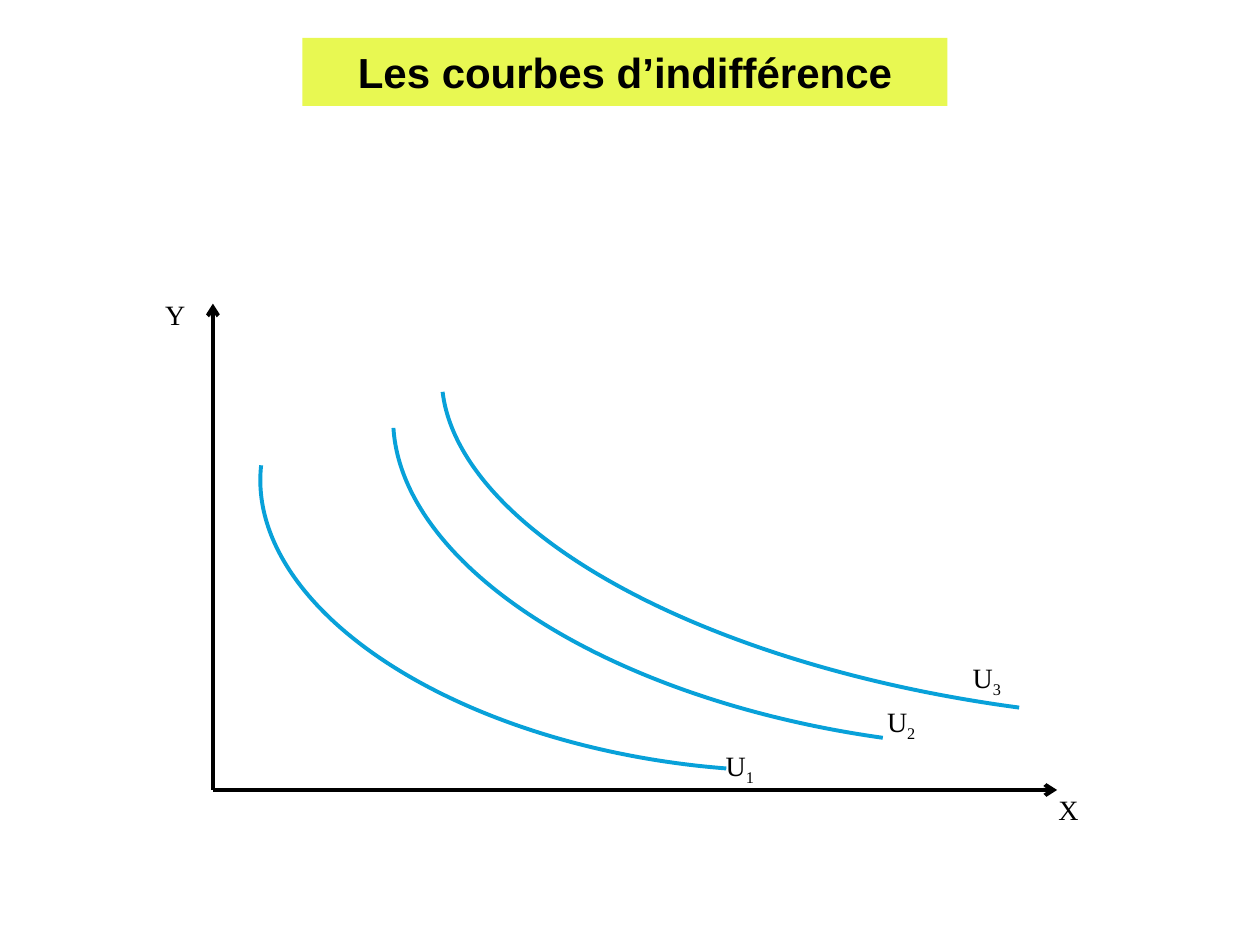
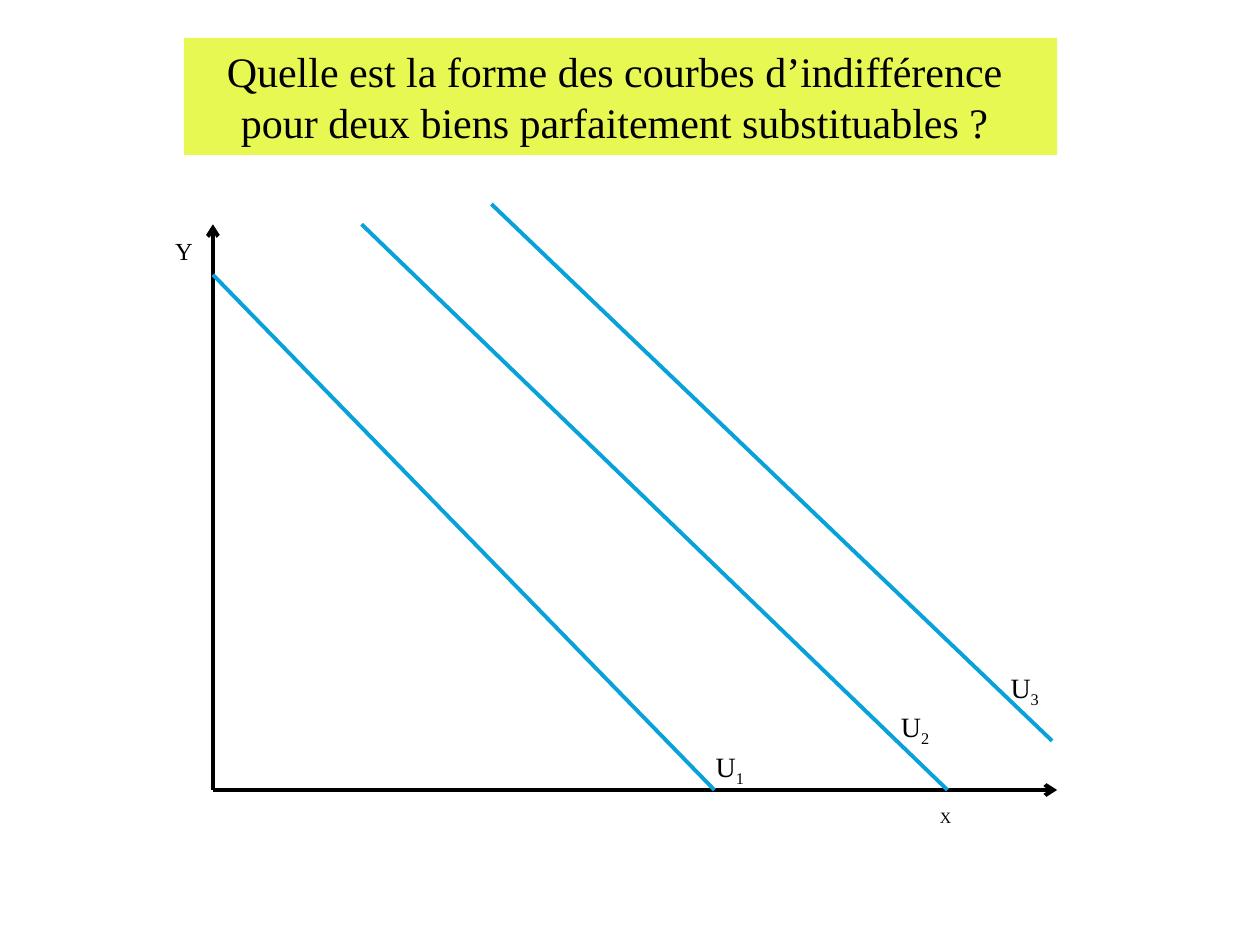
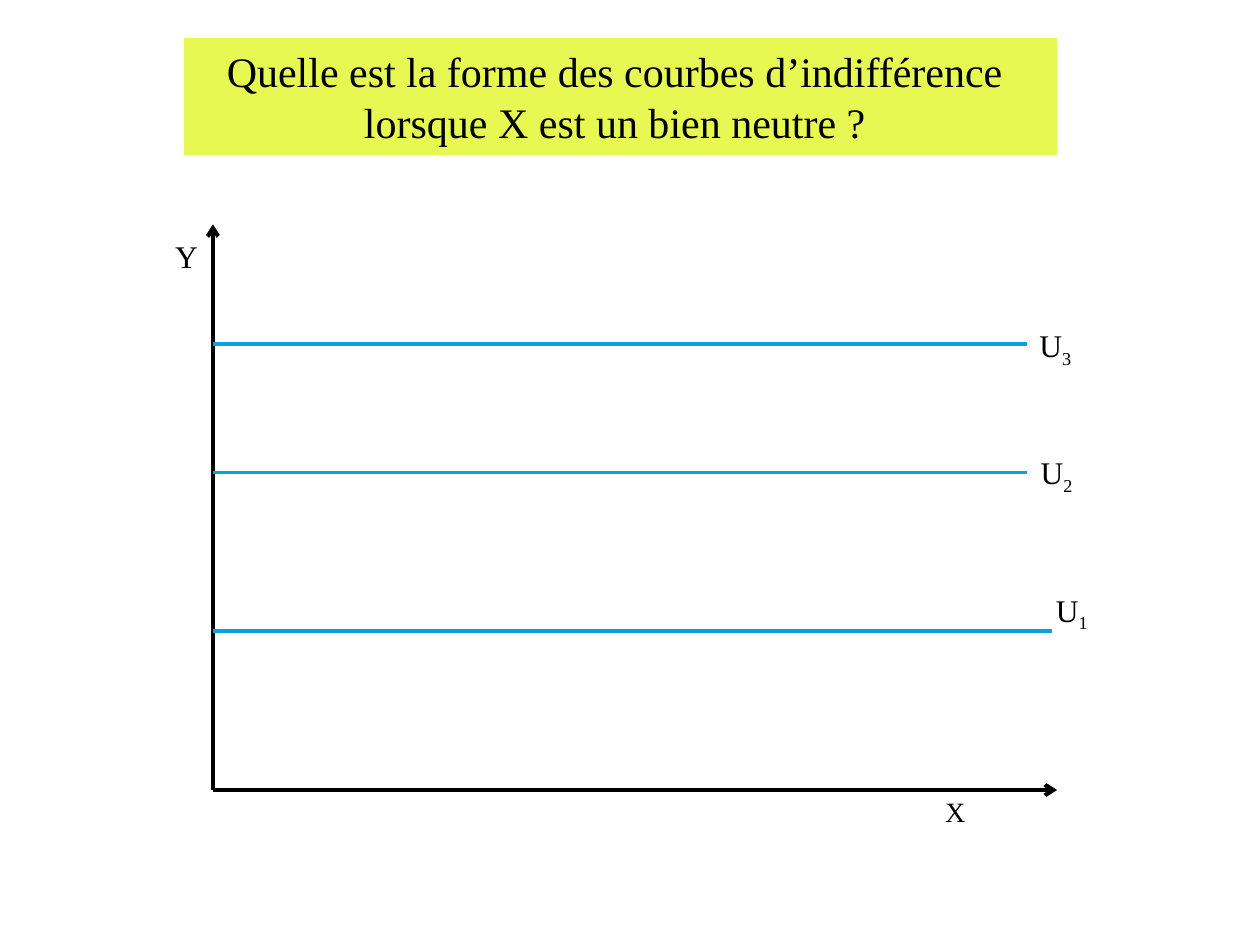
from dataclasses import dataclass

from lxml.etree import SubElement
from pptx import Presentation
from pptx.dml.color import RGBColor
from pptx.enum.shapes import MSO_CONNECTOR, MSO_SHAPE
from pptx.enum.text import MSO_ANCHOR, PP_ALIGN
from pptx.oxml.ns import qn
from pptx.util import Inches, Pt


@dataclass(frozen=True)
class Theme:
    ink: RGBColor = RGBColor(0x00, 0x00, 0x00)
    curve: RGBColor = RGBColor(0x08, 0xA1, 0xD9)
    band: RGBColor = RGBColor(0xE8, 0xF8, 0x52)
    serif: str = "Times New Roman"
    sans: str = "Arial"
    title_size: int = 24
    label_size: int = 16
    line_width: float = 2.25
    serif_ascent: float = 0.89
    subscript: int = -25000


@dataclass(frozen=True)
class Box:
    left: float
    top: float
    width: float
    height: float

    def point(self, across, up):
        return self.left + across, self.top + self.height - up


THEME = Theme()
COLUMNS, ROWS = 100, 75
CELL = Inches(10) / COLUMNS
TITLE_BOX = Box(24, 3, 51.2, 5.4)
QUESTION_BOX = Box(14.6, 3, 69.3, 9.3)
SHORT_PLOT = Box(16.9, 24.1, 67, 38.6)
TALL_PLOT = Box(16.9, 17.8, 67, 44.9)
ARC_ROTATION = 186.3
DEGREE = 0.6


def grid(*cells):
    return [round(cell * CELL) for cell in cells]


def add_run(paragraph, text, font=THEME.serif, size=THEME.label_size, bold=False, subscript=False):
    run = paragraph.add_run()
    run.text = text
    run.font.name = font
    run.font.size = Pt(size)
    run.font.bold = bold
    run.font.color.rgb = THEME.ink
    if subscript:
        run.font._element.set("baseline", str(THEME.subscript))


def add_title(slide, box, lines, font=THEME.serif, bold=False, right_inset=0.19):
    shape = slide.shapes.add_shape(
        MSO_SHAPE.RECTANGLE, *grid(box.left, box.top, box.width, box.height))
    shape.shadow.inherit = False
    shape.fill.solid()
    shape.fill.fore_color.rgb = THEME.band
    shape.line.fill.background()
    frame = shape.text_frame
    frame.word_wrap = True
    frame.vertical_anchor = MSO_ANCHOR.MIDDLE
    frame.margin_right = Inches(right_inset)
    paragraph = frame.paragraphs[0]
    paragraph.alignment = PP_ALIGN.CENTER
    for number, line in enumerate(lines):
        if number:
            paragraph.add_line_break()
        add_run(paragraph, line, font=font, size=THEME.title_size, bold=bold)


def add_line(slide, plot, start, end, color=THEME.curve, arrow=False):
    connector = slide.shapes.add_connector(
        MSO_CONNECTOR.STRAIGHT, *grid(*plot.point(*start), *plot.point(*end)))
    connector.line.color.rgb = color
    connector.line.width = Pt(THEME.line_width)
    if arrow:
        SubElement(connector.line._get_or_add_ln(), qn("a:tailEnd"), type="arrow")
    SubElement(connector._element.spPr, qn("a:effectLst"))


def add_arc(slide, plot, center, size, angles):
    across, down = plot.point(*center)
    width, height = size
    shape = slide.shapes.add_shape(
        MSO_SHAPE.ARC, *grid(across - width / 2, down - height / 2, width, height))
    shape.shadow.inherit = False
    shape.rotation = ARC_ROTATION
    for index, angle in enumerate(angles):
        shape.adjustments[index] = angle * DEGREE
    shape.fill.background()
    shape.line.color.rgb = THEME.curve
    shape.line.width = Pt(THEME.line_width)


def add_label(slide, plot, text, position, size=THEME.label_size):
    across, baseline = plot.point(*position)
    em = Pt(size) / CELL
    label = slide.shapes.add_textbox(
        *grid(across, baseline - THEME.serif_ascent * em, 2.5 * em, 1.2 * em))
    frame = label.text_frame
    frame.word_wrap = True
    frame.margin_left = frame.margin_right = frame.margin_top = frame.margin_bottom = 0
    paragraph = frame.paragraphs[0]
    add_run(paragraph, text[0], size=size)
    if text[1:]:
        add_run(paragraph, text[1:], size=size, subscript=True)


def add_plot(slide, plot, labels, lines=(), arcs=()):
    for end in ((0, plot.height), (plot.width, 0)):
        add_line(slide, plot, (0, 0), end, color=THEME.ink, arrow=True)
    for start, end in lines:
        add_line(slide, plot, start, end)
    for center, size, angles in arcs:
        add_arc(slide, plot, center, size, angles)
    for text, position, size in labels:
        add_label(slide, plot, text, position, size=size)


def build_indifference_curves(slide):
    add_plot(
        slide, SHORT_PLOT,
        arcs=[
            ((40.7, 21.7), (74.2, 39.8), (263.58, 0)),
            ((58.1, 25.85), (88, 44.3), (276.52, 357.48)),
            ((69, 28.25), (102.2, 44.3), (276.71, 357.48)),
        ],
        labels=[
            ("Y", (-3.8, 37.1), 16),
            ("U3", (60.3, 8.3), 16),
            ("U2", (53.5, 4.8), 16),
            ("U1", (40.7, 1.3), 16),
            ("X", (67.1, -2.2), 16),
        ])
    add_title(slide, TITLE_BOX, ["Les courbes d’indifférence"],
              font=THEME.sans, bold=True, right_inset=0.1)


def build_substitutes(slide):
    add_plot(
        slide, TALL_PLOT,
        lines=[
            ((0, 40.9), (39.8, 0)),
            ((11.8, 44.9), (58.3, 0)),
            ((22.1, 46.5), (66.6, 3.9)),
        ],
        labels=[
            ("Y", (-3, 42.2), 14),
            ("U3", (63.3, 7.5), 16),
            ("U2", (54.6, 4.4), 16),
            ("U1", (39.9, 1.2), 16),
            ("X", (57.7, -2.5), 9),
        ])
    add_title(slide, QUESTION_BOX, ["Quelle est la forme des courbes d’indifférence",
                                    "pour deux biens parfaitement substituables ?"])


def build_neutral_good(slide):
    levels = [(12.6, 66.6), (25.2, 64.6), (35.4, 64.6)]
    add_plot(
        slide, TALL_PLOT,
        lines=[((0, level), (end, level)) for level, end in levels],
        labels=[
            ("Y", (-3, 41.7), 18),
            ("U3", (65.6, 34.6), 18),
            ("U2", (65.7, 24.5), 18),
            ("U1", (66.9, 13.6), 18),
            ("X", (58.1, -2.3), 16),
        ])
    add_title(slide, QUESTION_BOX, ["Quelle est la forme des courbes d’indifférence",
                                    "lorsque X est un bien neutre ?"])


def main():
    presentation = Presentation()
    presentation.slide_width, presentation.slide_height = grid(COLUMNS, ROWS)
    blank = presentation.slide_layouts[6]
    for build in (build_indifference_curves, build_substitutes, build_neutral_good):
        build(presentation.slides.add_slide(blank))
    presentation.save("out.pptx")


if __name__ == "__main__":
    main()
